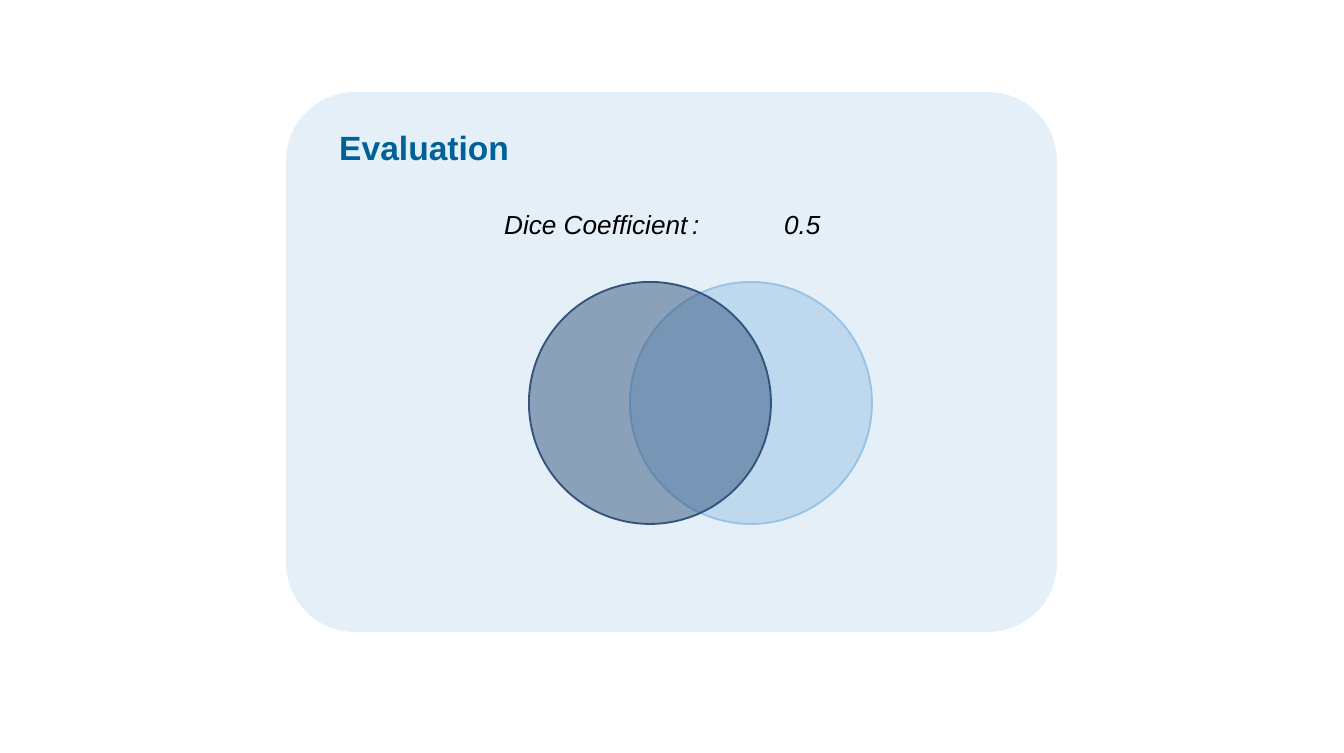
"""Build a slide that shows a Dice coefficient of 0.5 as two overlapping circles."""
from dataclasses import dataclass

from lxml import etree
from pptx import Presentation
from pptx.dml.color import RGBColor
from pptx.enum.shapes import MSO_SHAPE
from pptx.enum.text import MSO_AUTO_SIZE
from pptx.oxml.ns import qn
from pptx.util import Emu, Pt

ROUNDED = MSO_SHAPE.ROUNDED_RECTANGLE
OVAL = MSO_SHAPE.OVAL
FIT_TEXT = MSO_AUTO_SIZE.SHAPE_TO_FIT_TEXT
EMU_PER_PX = 914400 / 134.4


@dataclass(frozen=True)
class Theme:
    font: str = "Arial"
    title_size: int = 18
    label_size: int = 14
    title: str = "006197"
    label: str = "000000"
    light: str = "98C3E6"
    dark: str = "32537C"


def px(length):
    return Emu(round(length * EMU_PER_PX))


class SlideBuilder:
    def __init__(self, page, theme):
        self.page = page
        self.theme = theme

    def shape(self, kind, left, top, width, height, color, opacity):
        shape = self.page.shapes.add_shape(kind, px(left), px(top), px(width), px(height))
        shape.shadow.inherit = False
        shape.fill.solid()
        shape.fill.fore_color.rgb = RGBColor.from_string(color)
        fill_color = shape._element.spPr.find(qn("a:solidFill"))[0]
        etree.SubElement(fill_color, qn("a:alpha"), val=str(opacity * 1000))
        shape.line.fill.background()
        return shape

    def panel(self, left, top, width, height):
        panel = self.shape(ROUNDED, left, top, width, height, self.theme.light, 25)
        panel.adjustments[0] = 0.128

    def circle(self, left, top, diameter, color):
        circle = self.shape(OVAL, left, top, diameter, diameter, color, 50)
        circle.line.color.rgb = RGBColor.from_string(color)
        circle.line.width = Pt(1)

    def text(self, words, left, top, width, height, size, color, bold=False, italic=False):
        box = self.page.shapes.add_textbox(px(left), px(top), px(width), px(height))
        frame = box.text_frame
        frame.word_wrap = True
        frame.auto_size = FIT_TEXT
        para = frame.paragraphs[0]
        para.text = words
        para.font.name = self.theme.font
        para.font.size = Pt(size)
        para.font.bold = bold
        para.font.italic = italic
        para.font.color.rgb = RGBColor.from_string(color)

    def title(self, words, left, top, width, height):
        self.text(words, left, top, width, height,
                  self.theme.title_size, self.theme.title, bold=True)

    def label(self, words, left, top, width, height):
        self.text(words, left, top, width, height,
                  self.theme.label_size, self.theme.label, italic=True)


def main():
    deck = Presentation()
    deck.slide_width = px(1344)
    deck.slide_height = px(753)
    theme = Theme()
    builder = SlideBuilder(deck.slides.add_slide(deck.slide_layouts[6]), theme)

    builder.panel(286, 92, 771, 540)
    builder.title("Evaluation", 326, 120, 310, 54)

    for left, color in ((630, theme.light), (529, theme.dark)):
        builder.circle(left, 282, 242, color)

    for words, left, width in (("0.5", 771, 82), ("Dice Coefficient", 491, 220), (":", 679, 37)):
        builder.label(words, left, 202, width, 46)

    deck.save("out.pptx")


if __name__ == "__main__":
    main()
